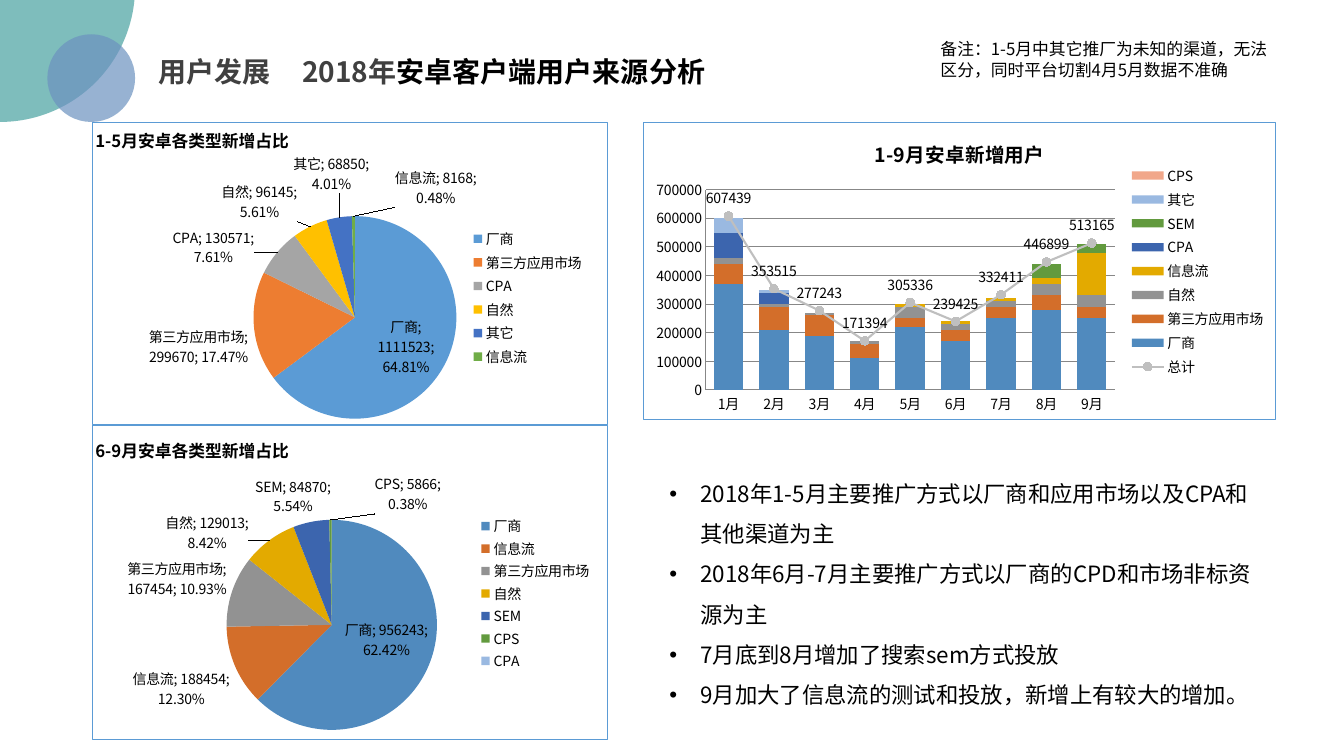
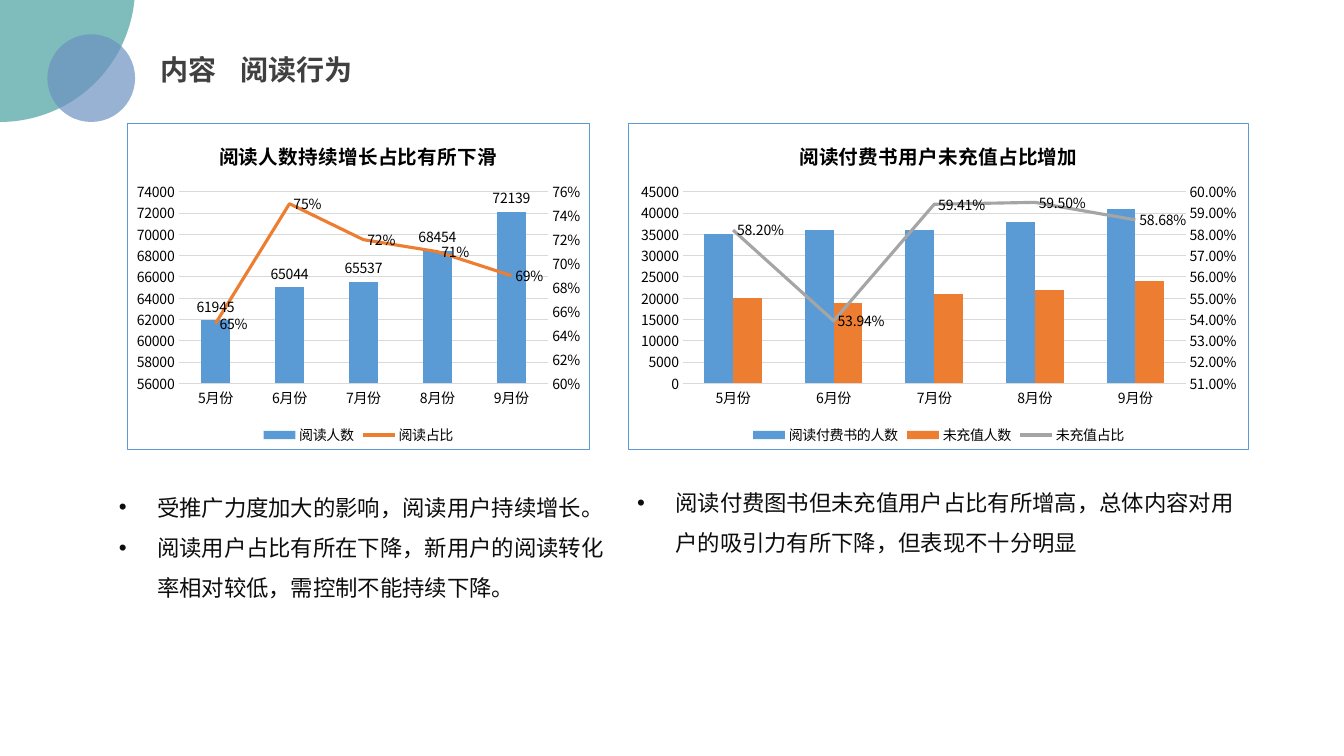
import pptx
import pptx.util
import pptx.chart.data
import pptx.dml.color
import pptx.enum.chart
import pptx.enum.shapes
import pptx.enum.text
import pptx.oxml
import pptx.oxml.ns

Inches = pptx.util.Inches
Pt = pptx.util.Pt
RGBColor = pptx.dml.color.RGBColor
qn = pptx.oxml.ns.qn
ChartType = pptx.enum.chart.XL_CHART_TYPE
LabelPosition = pptx.enum.chart.XL_LABEL_POSITION
LegendPosition = pptx.enum.chart.XL_LEGEND_POSITION
TickMark = pptx.enum.chart.XL_TICK_MARK

FONT = "Noto Sans CJK SC"
BLACK = RGBColor(0x00, 0x00, 0x00)
INK = RGBColor(0x0D, 0x0D, 0x0D)
TITLE_GRAY = RGBColor(0x40, 0x40, 0x40)
TEAL = RGBColor(0x48, 0xA2, 0xA0)
STEEL = RGBColor(0x6C, 0x92, 0xC0)
GRID_DARK = RGBColor(0x87, 0x87, 0x87)
GRID_LIGHT = RGBColor(0xD9, 0xD9, 0xD9)
TOTAL_GRAY = RGBColor(0xBF, 0xBF, 0xBF)
BLUE = RGBColor(0x5B, 0x9B, 0xD5)
ORANGE = RGBColor(0xED, 0x7D, 0x31)
GRAY = RGBColor(0xA5, 0xA5, 0xA5)
BRIGHT = [BLUE, ORANGE, GRAY, RGBColor(0xFF, 0xC0, 0x00),
          RGBColor(0x44, 0x72, 0xC4), RGBColor(0x70, 0xAD, 0x47)]
DEEP = [RGBColor(0x50, 0x8A, 0xBE), RGBColor(0xD3, 0x6E, 0x2A), RGBColor(0x92, 0x92, 0x92),
        RGBColor(0xE3, 0xAA, 0x00), RGBColor(0x3C, 0x65, 0xAE), RGBColor(0x62, 0x9A, 0x3E),
        RGBColor(0x9A, 0xB9, 0xE1), RGBColor(0xF1, 0xA7, 0x8A)]


def xml(text):
    """Parse a fragment that uses the a: and c: prefixes."""
    head, mark, tail = text.partition(">")
    close = "/" if head.endswith("/") else ""
    return pptx.oxml.parse_xml(
        f"{head.rstrip('/')} {pptx.oxml.ns.nsdecls('a', 'c')}{close}{mark}{tail}")


def add_east_asian_font(root):
    """Use the same typeface for East Asian text as for Latin text."""
    for latin in list(root.iter(qn("a:latin"))):
        latin.addnext(xml(f'<a:ea typeface="{FONT}"/>'))


def set_font(font, size, color, bold=False):
    """Set the shared typeface with the given size, colour and weight."""
    font.name, font.size, font.bold = FONT, Pt(size), bold
    font.color.rgb = color


def add_circle(slide, left, top, size, color):
    """Draw one translucent corner circle."""
    circle = slide.shapes.add_shape(pptx.enum.shapes.MSO_SHAPE.OVAL, Inches(left),
                                    Inches(top), Inches(size), Inches(size))
    circle.shadow.inherit = False
    circle.fill.solid()
    circle.fill.fore_color.rgb = color
    circle.line.fill.background()
    next(circle.element.iter(qn("a:srgbClr"))).append(xml('<a:alpha val="70000"/>'))


def add_text_frame(slide, box):
    """Add a wrapping text box and return its frame."""
    frame = slide.shapes.add_textbox(*map(Inches, box)).text_frame
    frame.word_wrap = True
    frame.auto_size = pptx.enum.text.MSO_AUTO_SIZE.SHAPE_TO_FIT_TEXT
    return frame


def add_heading(slide, box, section, topic, tab, tail=""):
    """Place the corner circles and the two-part slide title."""
    add_circle(slide, -1.34, -1.47, 2.68, TEAL)
    add_circle(slide, 0.47, 0.34, 0.87, STEEL)
    heading = add_text_frame(slide, box).paragraphs[0]
    heading._p.get_or_add_pPr().append(
        xml(f'<a:tabLst><a:tab pos="{Inches(tab)}" algn="l"/></a:tabLst>'))
    set_font(heading.font, 20, TITLE_GRAY, True)
    heading.add_run().text = f"{section}\t{topic}"
    if tail:
        ending = heading.add_run()
        ending.text = tail
        ending.font.color.rgb = BLACK


def add_note(slide, box, text):
    """Place the small remark beside the title."""
    note = add_text_frame(slide, box).paragraphs[0]
    note.text = text
    set_font(note.font, 12, BLACK)


def add_bullets(slide, box, points, indent, color, first_spacing=1.5):
    """Place a bulleted list of findings."""
    frame = add_text_frame(slide, box)
    for number, text in enumerate(points):
        point = frame.add_paragraph() if number else frame.paragraphs[0]
        point.text = text
        point.line_spacing = 1.5 if number else first_spacing
        properties = point._p.get_or_add_pPr()
        properties.set("marL", str(Inches(indent)))
        properties.set("indent", str(-Inches(indent)))
        properties.append(xml('<a:buFont typeface="Arial"/>'))
        properties.append(xml('<a:buChar char="•"/>'))
        set_font(point.font, 16, color)


def manual_layout(x, y, width=None, height=None, target=""):
    """Return a layout element in fractions of the chart."""
    size = "" if width is None else f'<c:w val="{width}"/><c:h val="{height}"/>'
    inner = f'<c:layoutTarget val="{target}"/>' if target else ""
    modes = '<c:xMode val="edge"/><c:yMode val="edge"/>'
    return xml(f'<c:layout><c:manualLayout>{inner}{modes}<c:x val="{x}"/>'
               f'<c:y val="{y}"/>{size}</c:manualLayout></c:layout>')


def add_framed_chart(slide, box, kind, categories, series, title, title_size, legend):
    """Add a chart with the shared font, thin blue frame, title and legend."""
    data = pptx.chart.data.CategoryChartData()
    data.categories = categories
    for name, values in series:
        data.add_series(name, values)
    chart = slide.shapes.add_chart(kind, *map(Inches, box), data).chart
    set_font(chart.font, 10, BLACK)
    chart.has_title = True
    heading = chart.chart_title.text_frame.paragraphs[0]
    heading.text = title
    set_font(heading.font, title_size, BLACK, True)
    chart.has_legend = True
    chart.legend.position = legend
    chart.legend.include_in_layout = False
    chart.element.find(qn("c:chart")).addnext(xml(
        f'<c:spPr><a:noFill/><a:ln w="{Pt(0.75)}"><a:solidFill><a:srgbClr val="{BLUE}"/>'
        '</a:solidFill></a:ln></c:spPr>'))
    return chart


def add_share_pie(slide, box, title, shares, colors, plot, title_at, legend_at, moved):
    """Add a pie with name, value and percent labels; moved maps a point to its label shift."""
    chart = add_framed_chart(slide, box, ChartType.PIE, list(shares),
                             [("Series 1", list(shares.values()))], title, 12,
                             LegendPosition.RIGHT)
    root = chart.element
    for old in root.xpath(".//c:title/c:layout | .//c:plotArea/c:layout | .//c:legend/c:layout"):
        old.getparent().remove(old)
    root.xpath(".//c:title/c:tx")[0].addnext(manual_layout(*title_at))
    root.xpath(".//c:plotArea")[0].insert(0, manual_layout(*plot, target="inner"))
    root.xpath(".//c:legendPos")[0].addnext(manual_layout(*legend_at))
    pie = chart.plots[0]
    pie.vary_by_categories = True
    for number, color in enumerate(colors):
        fill = pie.series[0].points[number].format.fill
        fill.solid()
        fill.fore_color.rgb = color
    number_format = '<c:numFmt formatCode="0.00%" sourceLinked="0"/>'
    shown = ('<c:dLblPos val="bestFit"/><c:showLegendKey val="0"/><c:showVal val="1"/>'
             '<c:showCatName val="1"/><c:showSerName val="0"/><c:showPercent val="1"/>'
             '<c:showBubbleSize val="0"/><c:separator>; </c:separator>')
    shifted = "".join(
        f'<c:dLbl><c:idx val="{number}"/><c:layout><c:manualLayout><c:x val="{x}"/>'
        f'<c:y val="{y}"/></c:manualLayout></c:layout>{number_format}{shown}</c:dLbl>'
        for number, (x, y) in moved.items())
    root.xpath(".//c:ser/c:cat")[0].addprevious(xml(
        f'<c:dLbls>{shifted}{number_format}{shown}<c:showLeaderLines val="1"/></c:dLbls>'))
    add_east_asian_font(root)


def style_axis(axis, scale=None):
    """Hide tick marks and fix the low, high and step of a scale."""
    axis.major_tick_mark = axis.minor_tick_mark = TickMark.NONE
    if scale:
        axis.minimum_scale, axis.maximum_scale, axis.major_unit = scale


def move_last_series_to_line(chart, right_axis):
    """Draw the last series as a line, on a second axis if right_axis is (scale, format)."""
    root = chart.element
    bars = root.xpath(".//c:barChart")[0]
    last = bars.findall(qn("c:ser"))[-1]
    for flag in last.findall(qn("c:invertIfNegative")):
        last.remove(flag)
    axis_ids = [axis.get("val") for axis in bars.findall(qn("c:axId"))]
    if right_axis:
        axis_ids = ["5001", "5002"]
        (low, high, step), code = right_axis
        value_axis = root.xpath(".//c:valAx")[0]
        value_axis.addnext(xml(
            '<c:valAx><c:axId val="5002"/><c:scaling><c:orientation val="minMax"/>'
            f'<c:max val="{high}"/><c:min val="{low}"/></c:scaling><c:delete val="0"/>'
            f'<c:axPos val="r"/><c:numFmt formatCode="{code}" sourceLinked="0"/>'
            '<c:majorTickMark val="none"/><c:minorTickMark val="none"/>'
            '<c:tickLblPos val="nextTo"/><c:spPr><a:ln><a:noFill/></a:ln></c:spPr>'
            '<c:crossAx val="5001"/><c:crosses val="max"/>'
            f'<c:crossBetween val="between"/><c:majorUnit val="{step}"/></c:valAx>'))
        value_axis.addnext(xml(
            '<c:catAx><c:axId val="5001"/><c:scaling><c:orientation val="minMax"/></c:scaling>'
            '<c:delete val="1"/><c:axPos val="b"/><c:crossAx val="5002"/></c:catAx>'))
    line = xml('<c:lineChart><c:grouping val="standard"/><c:varyColors val="0"/>'
               '<c:marker val="1"/>'
               + "".join(f'<c:axId val="{axis}"/>' for axis in axis_ids) + '</c:lineChart>')
    line.insert(2, last)
    bars.addnext(line)
    return chart.plots[1].series[0]


def add_combo(slide, box, kind, title, categories, series, colors, scale, grid, legend,
              gap, label_format, label_position, line_width, right_axis=None,
              bar_labels=False):
    """Add columns with the last series as a labelled line."""
    chart = add_framed_chart(slide, box, kind, categories, series, title, 14, legend)
    stacked = kind == ChartType.COLUMN_STACKED
    style_axis(chart.category_axis)
    style_axis(chart.value_axis, scale)
    chart.value_axis.has_major_gridlines = True
    for rule in (chart.value_axis.major_gridlines.format.line, chart.category_axis.format.line):
        rule.color.rgb, rule.width = grid, Pt(0.75)
    if stacked:
        chart.value_axis.format.line.color.rgb = grid
    else:
        chart.value_axis.format.line.fill.background()
    trend = move_last_series_to_line(chart, right_axis)
    columns = chart.plots[0]
    columns.vary_by_categories = False
    columns.gap_width, columns.overlap = gap, 100 if stacked else 0
    for bar, color in zip(columns.series, colors):
        bar.format.fill.solid()
        bar.format.fill.fore_color.rgb = color
        if bar_labels:
            bar.data_labels.show_value = True
            bar.data_labels.position = LabelPosition.OUTSIDE_END
    trend.smooth = False
    trend.format.line.color.rgb, trend.format.line.width = colors[-1], Pt(line_width)
    marker = trend.marker
    marker.style = pptx.enum.chart.XL_MARKER_STYLE.NONE
    if stacked:
        marker.style, marker.size = pptx.enum.chart.XL_MARKER_STYLE.CIRCLE, 6
        marker.format.fill.solid()
        marker.format.fill.fore_color.rgb = marker.format.line.color.rgb = colors[-1]
    labels = trend.data_labels
    labels.show_value, labels.position = True, label_position
    labels.number_format, labels.number_format_is_linked = label_format, False
    add_east_asian_font(chart.element)


def build_user_sources(slide):
    """Slide on where Android users come from."""
    add_heading(slide, (1.47, 0.49, 10.89, 0.44), "用户发展", "2018年", 1.43,
                "安卓客户端用户来源分析")
    add_bullets(slide, (6.54, 4.58, 6.13, 2.52), [
        "2018年1-5月主要推广方式以厂商和应用市场以及CPA和其他渠道为主",
        "2018年6月-7月主要推广方式以厂商的CPD和市场非标资源为主",
        "7月底到8月增加了搜索sem方式投放",
        "9月加大了信息流的测试和投放，新增上有较大的增加。"], 0.31, BLACK)
    add_note(slide, (9.23, 0.34, 3.6, 0.5),
             "备注：1-5月中其它推厂为未知的渠道，无法区分，同时平台切割4月5月数据不准确")
    add_share_pie(slide, (0.91, 1.21, 5.12, 3.01), "1-5月安卓各类型新增占比", {
        "厂商": 1111523, "第三方应用市场": 299670, "CPA": 130571, "自然": 96145,
        "其它": 68850, "信息流": 8168}, BRIGHT, (0.31, 0.31, 0.4, 0.67), (0, 0),
        (0.72, 0.34, 0.25, 0.48), {3: (-0.02, 0), 4: (0.06, -0.06), 5: (0.16, -0.01)})
    add_share_pie(slide, (0.91, 4.22, 5.12, 3.12), "6-9月安卓各类型新增占比", {
        "厂商": 956243, "信息流": 188454, "第三方应用市场": 167454, "自然": 129013,
        "SEM": 84870, "CPS": 5866, "CPA": None}, DEEP[:7], (0.26, 0.3, 0.41, 0.67),
        (0, 0.02), (0.74, 0.28, 0.24, 0.51), {5: (0.15, 0)})
    add_combo(slide, (6.38, 1.21, 6.28, 2.96), ChartType.COLUMN_STACKED, "1-9月安卓新增用户",
              [f"{month}月" for month in range(1, 10)], [
        ("厂商", [370000, 210000, 190000, 110000, 220000, 170000, 250000, 280000, 250000]),
        ("第三方应用市场", [70000, 80000, 70000, 50000, 30000, 40000, 40000, 50000, 40000]),
        ("自然", [20000, 10000, 10000, 10000, 40000, 20000, 20000, 40000, 40000]),
        ("信息流", [0, 0, 0, 0, 10000, 10000, 10000, 20000, 150000]),
        ("CPA", [90000, 40000, 0, 0, 0] + [None] * 4),
        ("SEM", [None] * 5 + [0, 0, 50000, 30000]),
        ("其它", [50000, 10000, 0, 0, 0] + [None] * 4),
        ("CPS", [None] * 5 + [0] * 4),
        ("总计", [607439, 353515, 277243, 171394, 305336, 239425, 332411, 446899, 513165])],
        DEEP + [TOTAL_GRAY], (0, 700000, 100000), GRID_DARK, LegendPosition.RIGHT, 55,
        "General", LabelPosition.ABOVE, 1.5)


def build_reading_behavior(slide):
    """Slide on reading behaviour and unpaid readers."""
    months = [f"{month}月份" for month in range(5, 10)]
    add_heading(slide, (1.49, 0.47, 2.21, 0.44), "内容", "阅读行为", 0.8)
    add_bullets(slide, (1.08, 4.85, 5.14, 1.18), [
        "受推广力度加大的影响，阅读用户持续增长。",
        "阅读用户占比有所在下降，新用户的阅读转化率相对较低，需控制不能持续下降。"],
        0.38, INK, 1)
    add_bullets(slide, (6.22, 4.67, 6.22, 0.91), [
        "阅读付费图书但未充值用户占比有所增高，总体内容对用户的吸引力有所下降，但表现不十分明显"],
        0.38, INK)
    add_combo(slide, (1.26, 1.22, 4.59, 3.24), ChartType.COLUMN_CLUSTERED,
              "阅读人数持续增长占比有所下滑", months, [
        ("阅读人数", [61945, 65044, 65537, 68454, 72139]),
        ("阅读占比", [0.65, 0.75, 0.72, 0.71, 0.69])],
        [BLUE, ORANGE], (56000, 74000, 2000), GRID_LIGHT, LegendPosition.BOTTOM, 150,
        "0%", LabelPosition.RIGHT, 2.25, ((0.6, 0.76, 0.02), "0%"), True)
    add_combo(slide, (6.23, 1.22, 6.16, 3.24), ChartType.COLUMN_CLUSTERED,
              "阅读付费书用户未充值占比增加", months, [
        ("阅读付费书的人数", [35000, 36000, 36000, 38000, 41000]),
        ("未充值人数", [20000, 19000, 21000, 22000, 24000]),
        ("未充值占比", [0.582, 0.5394, 0.5941, 0.595, 0.5868])],
        [BLUE, ORANGE, GRAY], (0, 45000, 5000), GRID_LIGHT, LegendPosition.BOTTOM, 150,
        "0.00%", LabelPosition.RIGHT, 2.25, ((0.51, 0.6, 0.01), "0.00%"))


def main():
    """Build and save the deck."""
    deck = pptx.Presentation()
    deck.slide_width, deck.slide_height = Inches(13.33), Inches(7.5)
    for build in (build_user_sources, build_reading_behavior):
        slide = deck.slides.add_slide(deck.slide_layouts[6])
        build(slide)
        add_east_asian_font(slide.element)
    deck.save("out.pptx")


if __name__ == "__main__":
    main()
